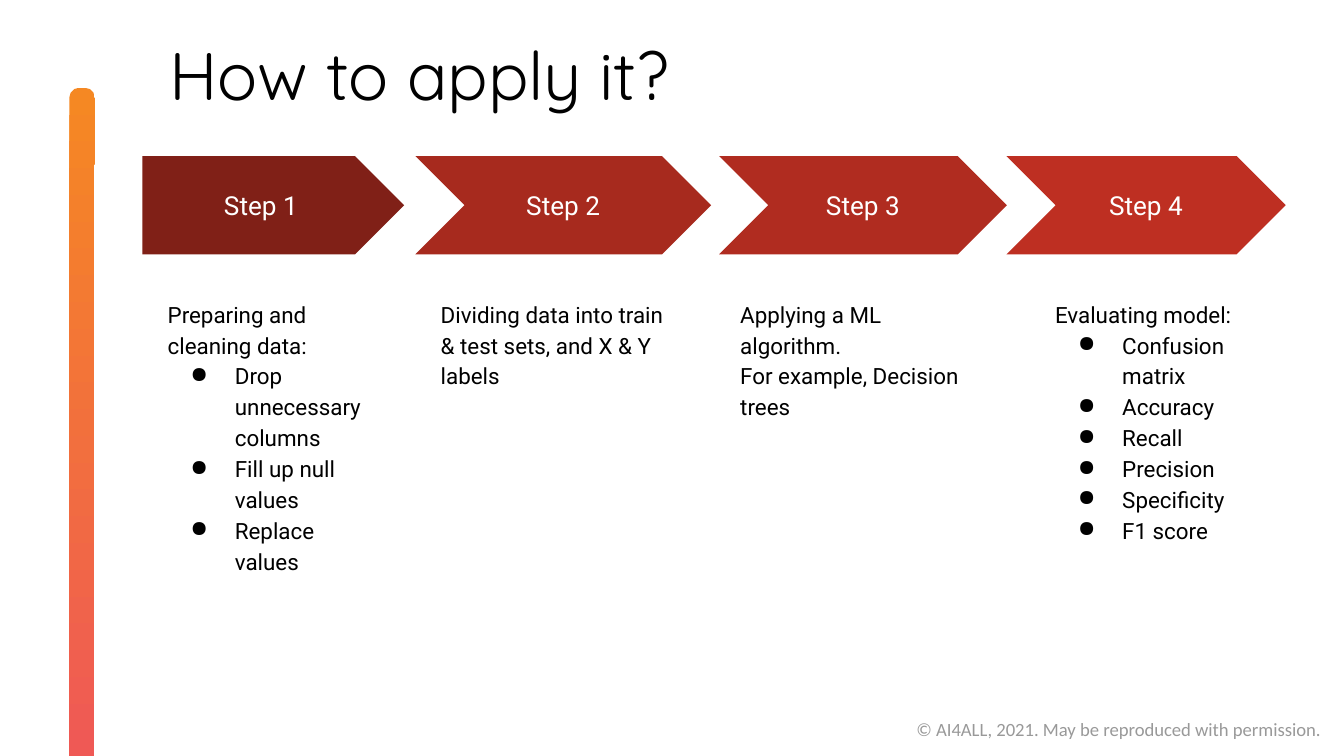
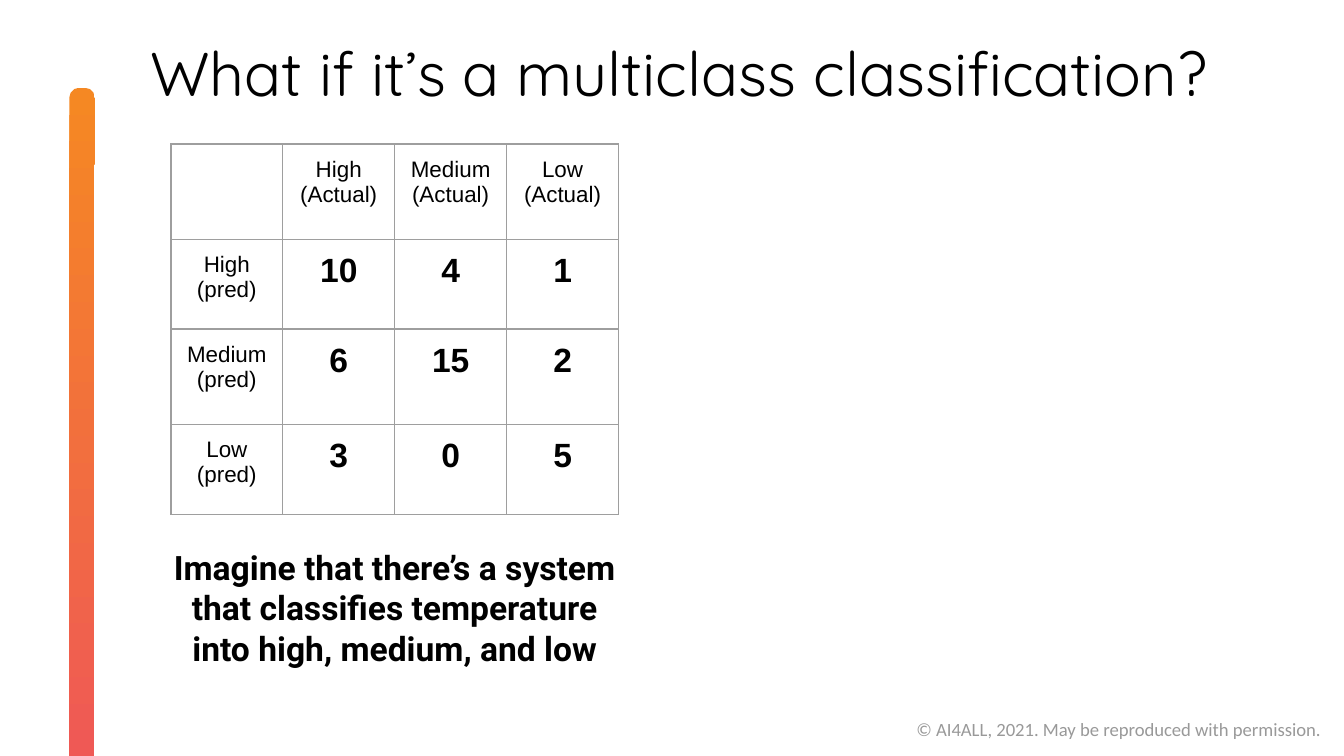
from collections import namedtuple

from lxml import etree
from pptx import Presentation
from pptx.dml.color import RGBColor
from pptx.enum.shapes import MSO_SHAPE
from pptx.enum.text import MSO_ANCHOR, PP_ALIGN
from pptx.oxml.ns import qn
from pptx.util import Cm, Pt

PENTAGON = MSO_SHAPE.PENTAGON
CHEVRON = MSO_SHAPE.CHEVRON
ROUNDED = MSO_SHAPE.ROUNDED_RECTANGLE
TOP, MIDDLE = MSO_ANCHOR.TOP, MSO_ANCHOR.MIDDLE
LEFT, CENTER = PP_ALIGN.LEFT, PP_ALIGN.CENTER

COLORS = {
    "text": "000000",
    "light": "FFFFFF",
    "footer": "999999",
    "bar start": "F58823",
    "bar end": "EF5757",
    "grid": "9E9E9E",
    "step 1": "802017",
    "step 2": "A72A1E",
    "step 3": "B02C20",
    "step 4": "BE2F22",
}
INSET = 0.25

# All lengths are centimetres
Box = namedtuple("Box", "left top width height")
Step = namedtuple("Step", "arrow_left arrow_width text_left text_width lines bullets")

STEPS = [
    Step(2.69, 4.95, 2.92, 4.22, ["Preparing and cleaning data:"],
         ["Drop unnecessary columns", "Fill up null values", "Replace values"]),
    Step(7.85, 5.59, 8.08, 4.85,
         ["Dividing data into train & test sets, and X & Y labels"], []),
    Step(13.59, 5.44, 13.74, 4.93,
         ["Applying a ML algorithm.", "For example, Decision trees"], []),
    Step(19.02, 5.28, 19.69, 3.96, ["Evaluating model:"],
         ["Confusion matrix", "Accuracy", "Recall", "Precision", "Specificity", "F1 score"]),
]
CONFUSION = [
    ["", "High\n(Actual)", "Medium (Actual)", "Low\n(Actual)"],
    ["High (pred)", "10", "4", "1"],
    ["Medium (pred)", "6", "15", "2"],
    ["Low (pred)", "3", "0", "5"],
]
ROW_HEIGHTS = [1.8, 1.7, 1.8, 1.7]


def rgb(name):
    return RGBColor.from_string(COLORS[name])


def lengths(box):
    return [Cm(value) for value in box]


def style_text(frame, font, size, color="text", bold=False, align=LEFT, spacing=None):
    for para in frame.paragraphs:
        para.alignment = align
        if spacing:
            para.line_spacing = spacing
        for span in para.runs:
            span.font.name = font
            span.font.size = Pt(size)
            span.font.bold = bold
            span.font.color.rgb = rgb(color)


def set_insets(frame, across, down):
    frame.margin_left = frame.margin_right = Cm(across)
    frame.margin_top = frame.margin_bottom = Cm(down)


def add_text(page, box, text, across=0, down=0, **style):
    frame = page.shapes.add_textbox(*lengths(box)).text_frame
    frame.word_wrap = True
    frame.vertical_anchor = TOP
    set_insets(frame, across, down)
    frame.text = text
    style_text(frame, **style)
    return frame


def add_bullet(para):
    properties = para._p.get_or_add_pPr()
    properties.set("marL", str(Cm(1.27)))
    properties.set("indent", str(-Cm(0.84)))
    color = etree.SubElement(properties, qn("a:buClr"))
    etree.SubElement(color, qn("a:srgbClr"), val=COLORS["text"])
    etree.SubElement(properties, qn("a:buChar"), char="●")


def add_page(deck, title, title_box, title_size):
    page = deck.slides.add_slide(deck.slide_layouts[6])
    # Footer
    add_text(page, Box(17.07, 13.44, 8.23, 0.69),
             "© AI4ALL, 2021. May be reproduced with permission.",
             across=INSET, down=0.13, font="Calibri", size=10, color="footer")
    # Gradient bar, turned upright
    bar = page.shapes.add_shape(ROUNDED, *lengths(Box(-5.03, 8, 13.16, 0.48)))
    bar.rotation = 90
    bar.adjustments[0] = 0.387
    bar.shadow.inherit = False
    bar.line.fill.background()
    bar.fill.gradient()
    bar.fill.gradient_angle = 0
    for stop, position, name in zip(bar.fill.gradient_stops, (0, 1), ("bar start", "bar end")):
        stop.position = position
        stop.color.rgb = rgb(name)
    # Title
    add_text(page, title_box, title, font="Quicksand", size=title_size)
    return page


def add_step(page, box, number, step):
    # Arrow
    kind = PENTAGON if number == 1 else CHEVRON
    arrow_box = Box(step.arrow_left, box.top, step.arrow_width, 1.86)
    arrow = page.shapes.add_shape(kind, *lengths(arrow_box))
    arrow.adjustments[0] = 0.5
    arrow.shadow.inherit = False
    arrow.fill.solid()
    arrow.fill.fore_color.rgb = rgb(f"step {number}")
    arrow.line.fill.background()
    frame = arrow.text_frame
    set_insets(frame, INSET, INSET)
    frame.vertical_anchor = MIDDLE
    frame.text = f"Step {number}"
    style_text(frame, "Roboto", 14, "light", align=CENTER)
    # Explanation
    text_box = Box(step.text_left, box.top + 2.41, step.text_width, box.height - 2.41)
    frame = add_text(page, text_box, "\n".join(step.lines + step.bullets),
                     across=INSET, down=INSET, font="Roboto", size=12, spacing=1.15)
    for para in frame.paragraphs[len(step.lines):]:
        add_bullet(para)


def add_cell_borders(cell):
    properties = cell._tc.get_or_add_tcPr()
    for side in ("L", "R", "T", "B"):
        line = etree.SubElement(properties, qn(f"a:ln{side}"), w=str(Pt(0.75)))
        fill = etree.SubElement(line, qn("a:solidFill"))
        etree.SubElement(fill, qn("a:srgbClr"), val=COLORS["grid"])


def add_matrix(page, box):
    table = page.shapes.add_table(len(CONFUSION), len(CONFUSION[0]), *lengths(box)).table
    table.first_row = table.horz_banding = False
    for column in table.columns:
        column.width = Cm(box.width / len(CONFUSION[0]))
    for row, height in zip(table.rows, ROW_HEIGHTS):
        row.height = Cm(height)
    for row, texts in enumerate(CONFUSION):
        for column, text in enumerate(texts):
            cell = table.cell(row, column)
            add_cell_borders(cell)
            cell.fill.background()
            set_insets(cell, INSET, INSET)
            cell.text_frame.text = text
            is_count = row > 0 and column > 0
            style_text(cell.text_frame, "Arial", 18 if is_count else 12,
                       bold=is_count, align=CENTER)


def build_steps_page(deck):
    page = add_page(deck, "How to apply it?", Box(3.2, 0.64, 20.4, 1.73), 36)
    box = Box(2.69, 2.95, 21.61, 9.68)
    for number, step in enumerate(STEPS, 1):
        add_step(page, box, number, step)


def build_matrix_page(deck):
    page = add_page(deck, "What if it’s a multiclass classification?",
                    Box(2.84, 0.66, 21.34, 1.63), 33)
    box = Box(3.23, 2.72, 8.46, sum(ROW_HEIGHTS))
    add_matrix(page, box)
    # Caption under the table
    add_text(page, Box(box.left, box.top + 7.62, box.width, 3.07),
             "Imagine that there’s a system that classifies temperature "
             "into high, medium, and low",
             font="Roboto", size=18, bold=True, align=CENTER)


def main():
    deck = Presentation()
    deck.slide_width, deck.slide_height = Cm(25.4), Cm(14.29)
    build_steps_page(deck)
    build_matrix_page(deck)
    deck.save("out.pptx")


if __name__ == "__main__":
    main()
